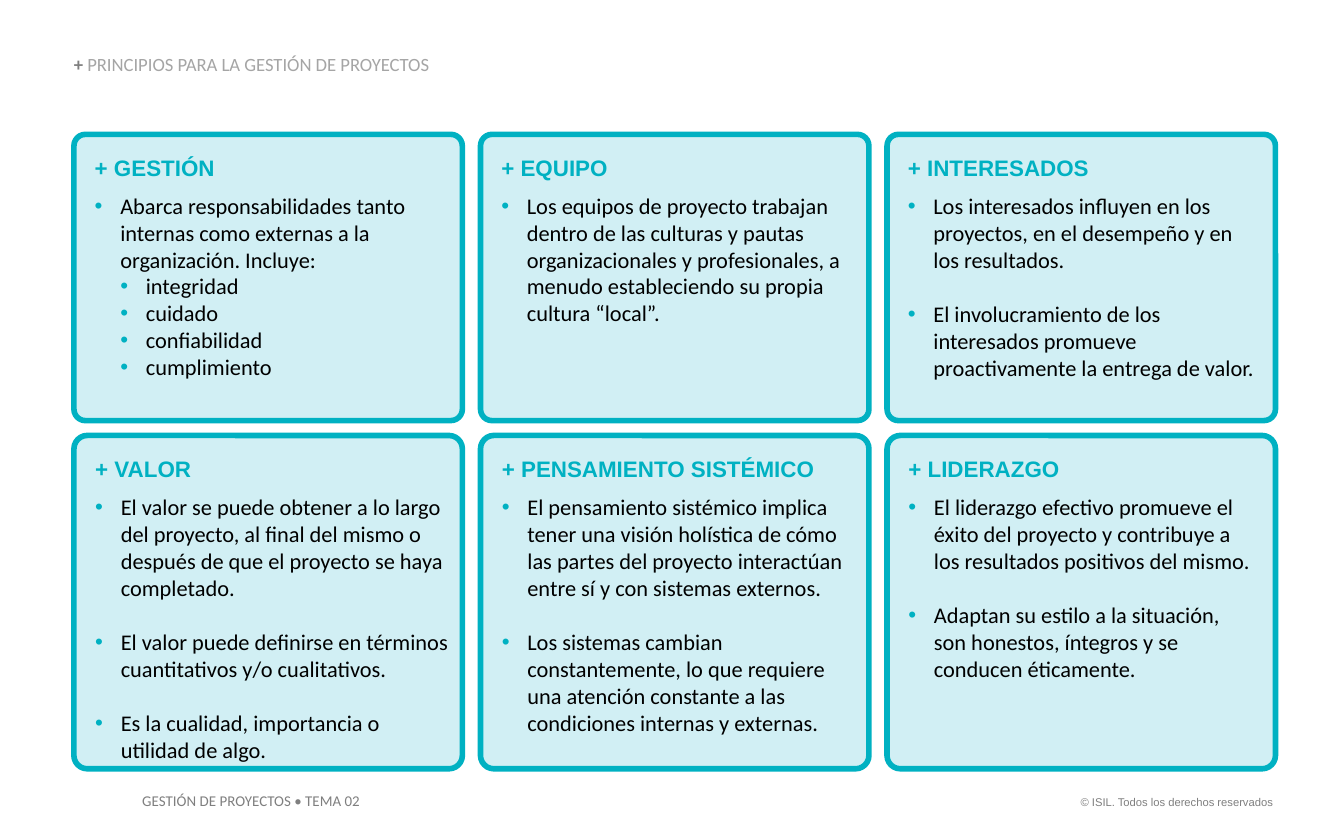
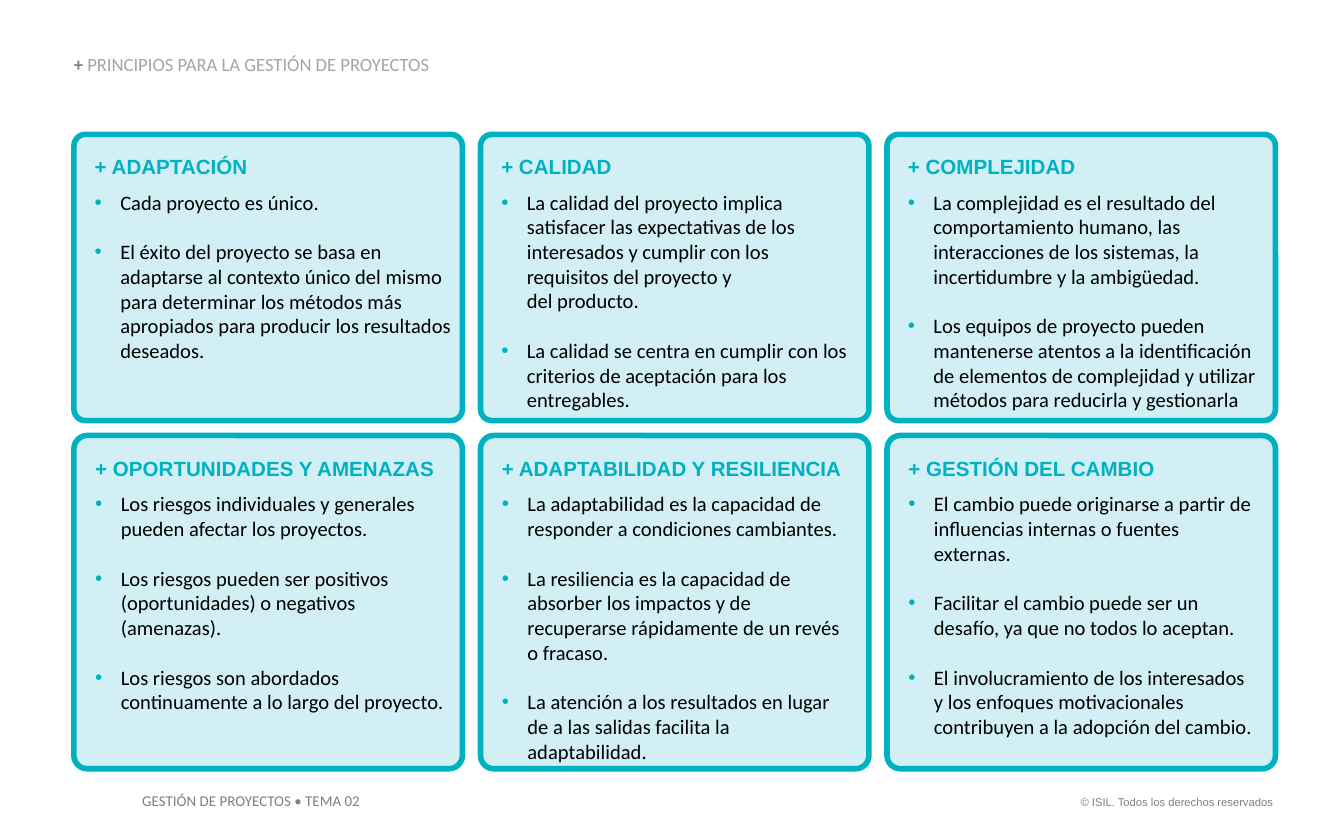
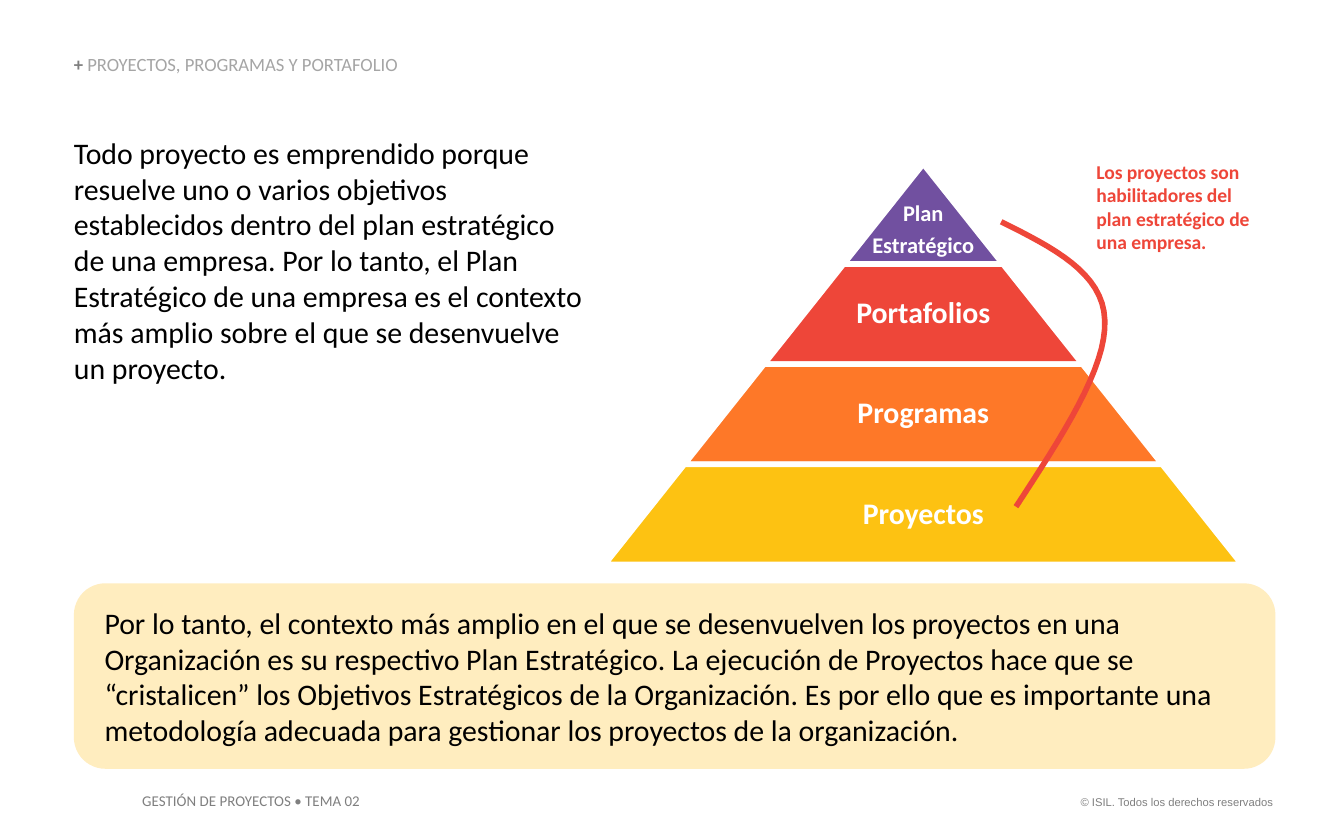
from dataclasses import dataclass
from typing import Any, Optional

from lxml import etree
from pptx import Presentation
from pptx.dml.color import RGBColor
from pptx.enum.shapes import MSO_SHAPE
from pptx.enum.text import MSO_ANCHOR, PP_ALIGN
from pptx.oxml.ns import qn
from pptx.util import Inches, Pt

ROUNDED = MSO_SHAPE.ROUNDED_RECTANGLE
TRAPEZOID = MSO_SHAPE.TRAPEZOID
TOP, MIDDLE, BOTTOM = MSO_ANCHOR.TOP, MSO_ANCHOR.MIDDLE, MSO_ANCHOR.BOTTOM
LEFT, CENTER, RIGHT = PP_ALIGN.LEFT, PP_ALIGN.CENTER, PP_ALIGN.RIGHT

BLACK = RGBColor(0x00, 0x00, 0x00)
WHITE = RGBColor(0xFF, 0xFF, 0xFF)
GRAY = RGBColor(0x7F, 0x7F, 0x7F)
LIGHT_GRAY = RGBColor(0xA5, 0xA5, 0xA5)
TEAL = RGBColor(0x00, 0xB1, 0xC2)
PALE_TEAL = RGBColor(0xD1, 0xEF, 0xF4)
PURPLE = RGBColor(0x71, 0x50, 0xA0)
RED = RGBColor(0xEE, 0x46, 0x39)
ORANGE = RGBColor(0xFE, 0x78, 0x28)
YELLOW = RGBColor(0xFD, 0xC2, 0x12)
CREAM = RGBColor(0xFF, 0xED, 0xBF)

BODY_FONT, HEADING_FONT = "Calibri", "Arial"
LINE_HEIGHT = 1.22  # Calibri line height relative to its size
MARGIN, CONTENT_WIDTH = 0.55, 8.94
CARD_WIDTH, CARD_COLUMNS = 2.89, 3
CARD_GAP = (CONTENT_WIDTH - CARD_COLUMNS * CARD_WIDTH) / (CARD_COLUMNS - 1)
CARD_ROWS = [(1.0, 2.13), (3.24, 2.48)]  # top, height
PYRAMID_LEFT, PYRAMID_TOP = 4.5, 1.22
PYRAMID_WIDTH, PYRAMID_HEIGHT = 4.74, 2.98
DEFAULT_INSETS = (0.1, 0.05, 0.1, 0.05)
NO_INSETS = (0, 0, 0, 0)


@dataclass
class Bullet:
    text: str
    level: int = 0
    gap: bool = True


@dataclass
class Card:
    heading: str
    bullets: list[Bullet]


@dataclass
class Tier:
    lines: list[str]
    color: RGBColor
    size: float = 16
    label_ratio: float = 0.65
    top_inset: float = 0.02


PRINCIPLES = "PRINCIPIOS PARA LA GESTIÓN DE PROYECTOS"

FIRST_CARDS = [
    Card("GESTIÓN", [
        Bullet("Abarca responsabilidades tanto internas como externas a la organización. Incluye:"),
        *(Bullet(word, level=1, gap=False)
          for word in ("integridad", "cuidado", "confiabilidad", "cumplimiento")),
    ]),
    Card("EQUIPO", [
        Bullet("Los equipos de proyecto trabajan dentro de las culturas y pautas organizacionales "
               "y profesionales, a menudo estableciendo su propia cultura “local”."),
    ]),
    Card("INTERESADOS", [
        Bullet("Los interesados influyen en los proyectos, en el desempeño y en los resultados."),
        Bullet("El involucramiento de los interesados promueve proactivamente la entrega de valor."),
    ]),
    Card("VALOR", [
        Bullet("El valor se puede obtener a lo largo del proyecto, al final del mismo o después "
               "de que el proyecto se haya completado."),
        Bullet("El valor puede definirse en términos cuantitativos y/o cualitativos."),
        Bullet("Es la cualidad, importancia o utilidad de algo."),
    ]),
    Card("PENSAMIENTO SISTÉMICO", [
        Bullet("El pensamiento sistémico implica tener una visión holística de cómo las partes "
               "del proyecto interactúan entre sí y con sistemas externos."),
        Bullet("Los sistemas cambian constantemente, lo que requiere una atención constante "
               "a las condiciones internas y externas."),
    ]),
    Card("LIDERAZGO", [
        Bullet("El liderazgo efectivo promueve el éxito del proyecto y contribuye a los "
               "resultados positivos del mismo."),
        Bullet("Adaptan su estilo a la situación, son honestos, íntegros y se conducen éticamente."),
    ]),
]

SECOND_CARDS = [
    Card("ADAPTACIÓN", [
        Bullet("Cada proyecto es único."),
        Bullet("El éxito del proyecto se basa en adaptarse al contexto único del mismo para "
               "determinar los métodos más apropiados para producir los resultados deseados."),
    ]),
    Card("CALIDAD", [
        Bullet("La calidad del proyecto implica satisfacer las expectativas de los interesados "
               "y cumplir con los requisitos del proyecto y \ndel producto."),
        Bullet("La calidad se centra en cumplir con los criterios de aceptación para los entregables."),
    ]),
    Card("COMPLEJIDAD", [
        Bullet("La complejidad es el resultado del comportamiento humano, las interacciones "
               "de los sistemas, la incertidumbre y la ambigüedad."),
        Bullet("Los equipos de proyecto pueden mantenerse atentos a la identificación de elementos "
               "de complejidad y utilizar métodos para reducirla y gestionarla"),
    ]),
    Card("OPORTUNIDADES Y AMENAZAS", [
        Bullet("Los riesgos individuales y generales pueden afectar los proyectos."),
        Bullet("Los riesgos pueden ser positivos (oportunidades) o negativos (amenazas)."),
        Bullet("Los riesgos son abordados continuamente a lo largo del proyecto."),
    ]),
    Card("ADAPTABILIDAD Y RESILIENCIA", [
        Bullet("La adaptabilidad es la capacidad de responder a condiciones cambiantes."),
        Bullet("La resiliencia es la capacidad de absorber los impactos y de recuperarse "
               "rápidamente de un revés o fracaso."),
        Bullet("La atención a los resultados en lugar de a las salidas facilita la adaptabilidad."),
    ]),
    Card("GESTIÓN DEL CAMBIO", [
        Bullet("El cambio puede originarse a partir de influencias internas o fuentes externas."),
        Bullet("Facilitar el cambio puede ser un desafío, ya que no todos lo aceptan."),
        Bullet("El involucramiento de los interesados y los enfoques motivacionales contribuyen "
               "a la adopción del cambio."),
    ]),
]

TIERS = [
    Tier(["Plan", "Estratégico"], PURPLE, size=12, label_ratio=1, top_inset=0.26),
    Tier(["Portafolios"], RED),
    Tier(["Programas"], ORANGE),
    Tier(["Proyectos"], YELLOW),
]

LINK_CURVES = [  # cubic curves from Proyectos up to Plan Estratégico
    ((7.56, 3.77), (7.9, 3.25), (8.24, 2.73), (8.22, 2.38)),
    ((8.22, 2.38), (8.21, 2.03), (7.83, 1.84), (7.45, 1.65)),
]

CONTEXT = ("Todo proyecto es emprendido porque resuelve uno o varios objetivos establecidos dentro "
           "del plan estratégico de una empresa. Por lo tanto, el Plan Estratégico de una empresa "
           "es el contexto más amplio sobre el que se desenvuelve un proyecto.")
CONCLUSION = ("Por lo tanto, el contexto más amplio en el que se desenvuelven los proyectos en una "
              "Organización es su respectivo Plan Estratégico. La ejecución de Proyectos hace que se "
              "“cristalicen” los Objetivos Estratégicos de la Organización. Es por ello que es "
              "importante una metodología adecuada para gestionar los proyectos de la organización.")


def set_frame(box: Any, insets: tuple, anchor: Any = TOP) -> Any:
    frame = box.text_frame
    frame.word_wrap = True
    frame.vertical_anchor = anchor
    (frame.margin_left, frame.margin_top,
     frame.margin_right, frame.margin_bottom) = map(Inches, insets)
    return frame


def add_bullet_mark(para: Any) -> None:
    properties = para._p.get_or_add_pPr()
    color = etree.SubElement(properties, qn("a:buClr"))
    etree.SubElement(color, qn("a:srgbClr"), val=str(TEAL))
    etree.SubElement(properties, qn("a:buFont"), typeface=HEADING_FONT)
    etree.SubElement(properties, qn("a:buChar"), char="•")


def set_indent(para: Any, left: float, first_line: float) -> None:
    properties = para._p.get_or_add_pPr()
    properties.set("marL", str(Inches(left)))
    properties.set("indent", str(Inches(first_line)))


def write(frame: Any, text: str, *, size: float, color: RGBColor = BLACK, font: str = BODY_FONT,
          bold: bool = False, align: Any = LEFT, spacing: Optional[float] = None,
          before: float = 0, para: Any = None) -> Any:
    """Write text in the given paragraph, the empty first one, or a new one."""
    if para is None:
        first = frame.paragraphs[0]
        para = frame.add_paragraph() if first.runs else first
        para.alignment = align
        if spacing:
            para.line_spacing = spacing
        if before:
            para.space_before = Pt(before)
    for index, part in enumerate(text.split("\n")):
        if index:
            para.add_line_break()
            line_break = para._p.findall(qn("a:br"))[-1]
            etree.SubElement(line_break, qn("a:rPr"), sz=str(int(size * 100)))
        span = para.add_run()
        span.text = part
        span.font.size = Pt(size)
        span.font.name = font
        span.font.bold = bold
        span.font.color.rgb = color
    return para


def add_text(page: Any, at: tuple, text: str, *, insets: tuple = DEFAULT_INSETS,
             anchor: Any = TOP, **style: Any) -> Any:
    """Add a text box with one paragraph and return its frame."""
    frame = set_frame(page.shapes.add_textbox(*map(Inches, at)), insets, anchor)
    write(frame, text, **style)
    return frame


def add_box(page: Any, kind: Any, at: tuple, adjustment: float, fill: RGBColor,
            line: Optional[RGBColor] = None) -> Any:
    box = page.shapes.add_shape(kind, *map(Inches, at))
    box.adjustments[0] = adjustment
    box.shadow.inherit = False
    box.fill.solid()
    box.fill.fore_color.rgb = fill
    if line is None:
        box.line.fill.background()
    else:
        box.line.color.rgb = line
        box.line.width = Pt(3)
    return box


def add_page(deck: Any, title: str) -> Any:
    """Add a blank slide with the shared title and footers."""
    page = deck.slides.add_slide(deck.slide_layouts[6])
    add_text(page, (7.91, 5.87, 1.66, 0.2), "© ISIL. Todos los derechos reservados",
             size=6, font=HEADING_FONT, color=GRAY, align=RIGHT)
    add_text(page, (0.96, 5.84, 1.85, 0.24), "GESTIÓN DE PROYECTOS • TEMA 02",
             size=8, color=GRAY)
    frame = add_text(page, (MARGIN, 0.41, 4.9, 0.15), "+ ", insets=NO_INSETS, anchor=BOTTOM,
                     size=10, color=GRAY, bold=True, spacing=0.9)
    write(frame, title, size=10, color=LIGHT_GRAY, para=frame.paragraphs[0])
    return page


def add_card(page: Any, card: Card, row: int, column: int, size: float) -> None:
    top, height = CARD_ROWS[row]
    left = MARGIN + column * (CARD_WIDTH + CARD_GAP)
    box = add_box(page, ROUNDED, (left, top, CARD_WIDTH, height), 0.04, PALE_TEAL, TEAL)
    frame = set_frame(box, (0.12, 0.12, 0.12 if column else 0.04, 0.05))
    heading = write(frame, f"+ {card.heading}", size=size, font=HEADING_FONT,
                    color=TEAL, bold=True)
    set_indent(heading, 0.2, -0.19)
    for index, bullet in enumerate(card.bullets):
        later_gap = size * LINE_HEIGHT if bullet.gap else 0
        para = write(frame, bullet.text, size=size, before=later_gap if index else 6)
        set_indent(para, 0.2 + 0.19 * bullet.level, -0.19)
        add_bullet_mark(para)


def add_cards_page(deck: Any, cards: list[Card], size: float) -> None:
    page = add_page(deck, PRINCIPLES)
    for index, card in enumerate(cards):
        row, column = divmod(index, CARD_COLUMNS)
        add_card(page, card, row, column, size)


def add_pyramid(page: Any) -> None:
    height = PYRAMID_HEIGHT / len(TIERS)
    slant = PYRAMID_WIDTH / len(TIERS) / 2
    center = PYRAMID_LEFT + PYRAMID_WIDTH / 2
    for index, tier in enumerate(TIERS):
        top = PYRAMID_TOP + index * height
        width = 2 * slant * (index + 1)
        add_box(page, TRAPEZOID, (center - width / 2, top, width, height),
                slant / height, tier.color, WHITE)
        label_width = width * tier.label_ratio
        label = page.shapes.add_textbox(
            *map(Inches, (center - label_width / 2, top, label_width, height)))
        frame = set_frame(label, (0.02, tier.top_inset, 0.02, 0.02), MIDDLE)
        for number, line in enumerate(tier.lines):
            write(frame, line, size=tier.size, color=WHITE, bold=True, align=CENTER,
                  spacing=0.9, before=4.2 if number else 0)


def curve_point(curve: tuple, t: float) -> tuple:
    """Return the point of a cubic Bézier curve at t, in EMU."""
    weights = ((1 - t) ** 3, 3 * t * (1 - t) ** 2, 3 * t ** 2 * (1 - t), t ** 3)
    return tuple(Inches(sum(weight * point[axis] for weight, point in zip(weights, curve)))
                 for axis in (0, 1))


def add_link_curve(page: Any, steps: int = 16) -> None:
    points = [curve_point(curve, step / steps)
              for curve in LINK_CURVES for step in range(1, steps + 1)]
    builder = page.shapes.build_freeform(*curve_point(LINK_CURVES[0], 0))
    builder.add_line_segments(points, close=False)
    link = builder.convert_to_shape()
    link.shadow.inherit = False
    link.fill.background()
    link.line.color.rgb = RED
    link.line.width = Pt(3)


def add_pyramid_page(deck: Any) -> None:
    page = add_page(deck, "PROYECTOS, PROGRAMAS Y PORTAFOLIO")
    add_text(page, (MARGIN, 1, 3.82, 1.88), CONTEXT, insets=NO_INSETS, size=16)
    add_pyramid(page)
    add_link_curve(page)
    add_text(page, (8.06, 1.14, 1.43, 0.81),
             "Los proyectos son habilitadores del plan estratégico de una empresa.",
             size=10.5, color=RED, bold=True)
    banner = add_box(page, ROUNDED, (MARGIN, 4.34, CONTENT_WIDTH, 1.38), 0.17, CREAM)
    write(set_frame(banner, (0.16, 0.05, 0.16, 0.05), MIDDLE), CONCLUSION, size=16)


def main() -> None:
    deck = Presentation()
    deck.slide_width, deck.slide_height = Inches(10), Inches(6.25)
    add_cards_page(deck, FIRST_CARDS, size=12)
    add_cards_page(deck, SECOND_CARDS, size=11)
    add_pyramid_page(deck)
    deck.save("out.pptx")


if __name__ == "__main__":
    main()
